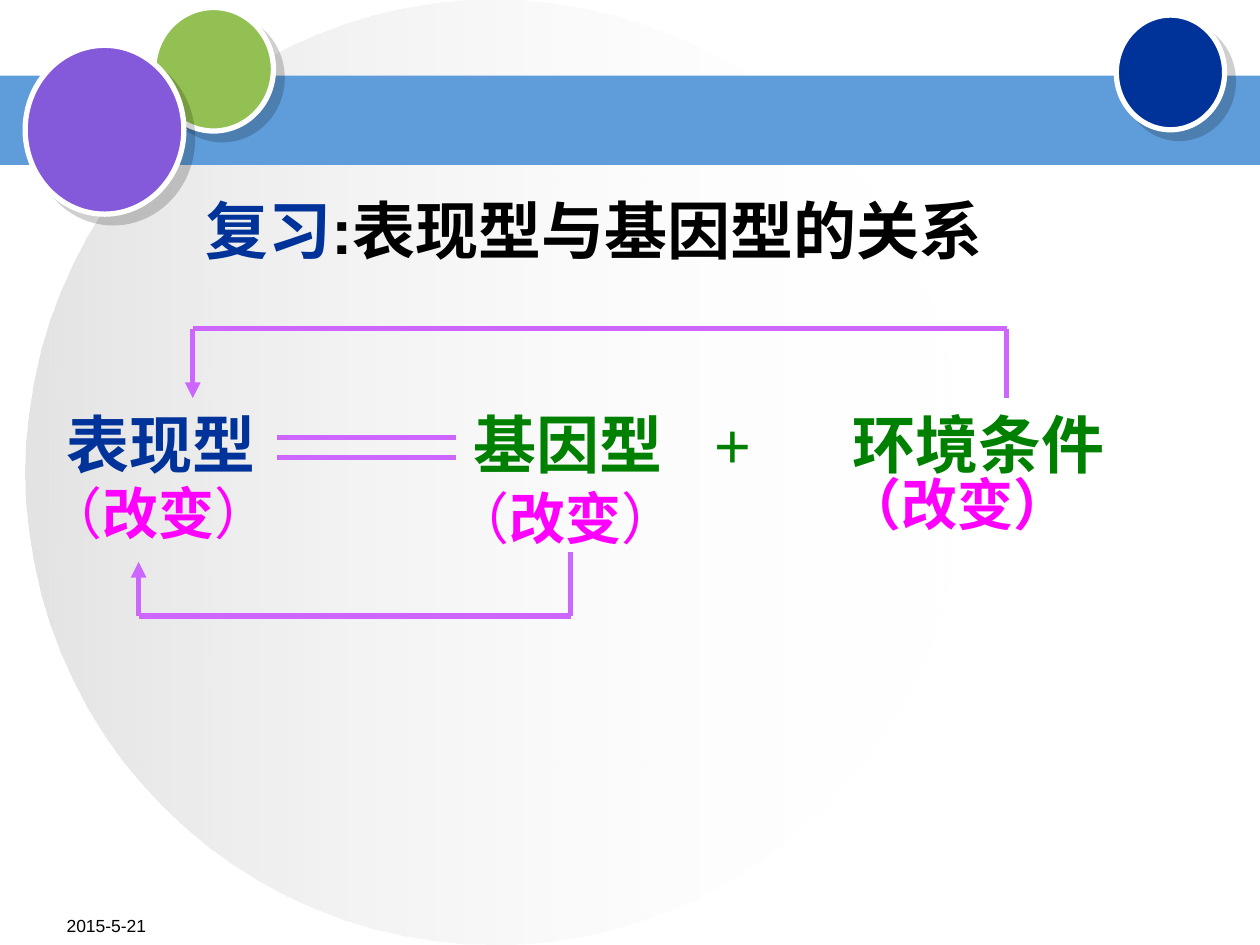
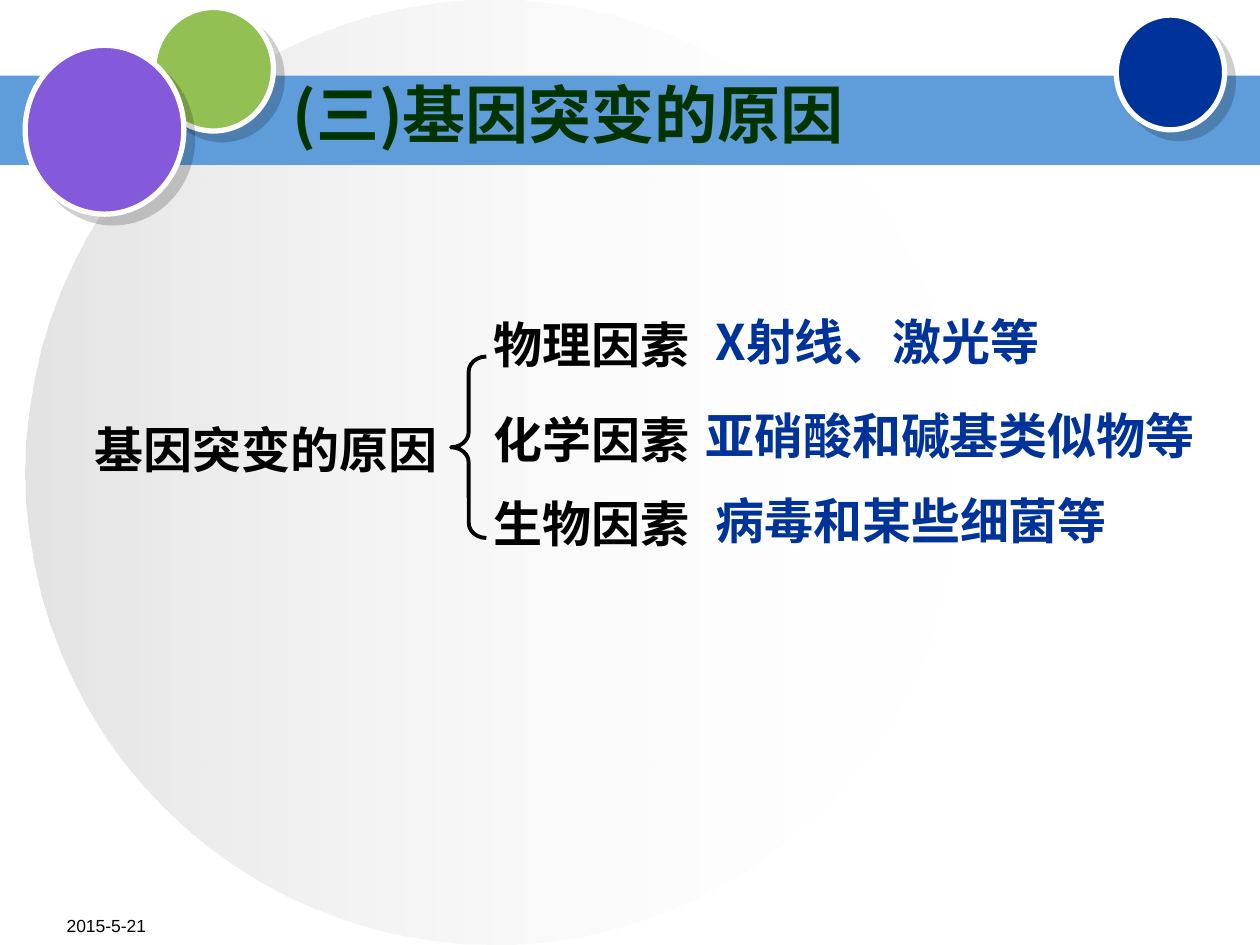
"""Builds two lesson slides on phenotype, genotype and the causes of gene mutation."""
from dataclasses import dataclass

from lxml.etree import SubElement
from pptx import Presentation
from pptx.dml.color import RGBColor
from pptx.enum.shapes import MSO_CONNECTOR, MSO_SHAPE
from pptx.enum.text import MSO_ANCHOR, MSO_AUTO_SIZE, PP_ALIGN
from pptx.oxml.ns import qn
from pptx.util import Inches, Pt


@dataclass(frozen=True)
class Theme:
    white: str = "FFFFFF"
    black: str = "000000"
    silver: str = "C0C0C0"
    band: str = "5E9CDA"
    lime: str = "93C052"
    navy: str = "003399"
    violet: str = "855ADA"
    arrow: str = "CC66FF"
    green: str = "008000"
    magenta: str = "FF00FF"
    heading: str = "003300"
    latin: str = "Arial"
    chinese: str = "Noto Sans CJK SC"
    title_size: int = 36
    change_size: int = 32
    factor_size: int = 28
    date_size: int = 10


theme = Theme()


def write_text(shape, place, runs, size, latin=theme.latin, inset=True):
    """Places a shape and fills its one paragraph with (text, colour, bold) runs."""
    shape.left, shape.top, shape.width, shape.height = map(Inches, place)
    frame = shape.text_frame
    frame.word_wrap = True
    frame.auto_size = MSO_AUTO_SIZE.NONE
    frame.vertical_anchor = MSO_ANCHOR.TOP
    frame.margin_left = frame.margin_right = Inches(0.1 if inset else 0)
    frame.margin_top = frame.margin_bottom = Inches(0.05 if inset else 0)
    paragraph = frame.paragraphs[0]
    paragraph.alignment = PP_ALIGN.LEFT
    paragraph.space_before = Pt(0)
    for text, color, bold in runs:
        run = paragraph.add_run()
        run.text = text
        run.font.name = latin
        run.font.size = Pt(size)
        run.font.bold = bold
        run.font.color.rgb = RGBColor.from_string(color)
        SubElement(run.font._element, qn("a:ea"), typeface=theme.chinese)
    return paragraph


def add_text(slide, place, runs, size, latin=theme.latin, inset=True):
    """Adds a text box and writes the runs into it."""
    box = slide.shapes.add_textbox(0, 0, 0, 0)
    return write_text(box, place, runs, size, latin, inset)


presentation = Presentation()
presentation.slide_width = Inches(10)
presentation.slide_height = Inches(7.5)
relation_slide = presentation.slides.add_slide(presentation.slide_layouts[1])
cause_slide = presentation.slides.add_slide(presentation.slide_layouts[5])

decorations = [
    (MSO_SHAPE.OVAL, (0.2, 0, 7.44, 7.5), None),
    (MSO_SHAPE.RECTANGLE, (0, 0.6, 10, 0.71), theme.band),
    (MSO_SHAPE.OVAL, (1.22, 0.06, 0.95, 0.98), theme.lime),
    (MSO_SHAPE.OVAL, (8.86, 0.12, 0.86, 0.91), theme.navy),
    (MSO_SHAPE.OVAL, (0.2, 0.36, 1.26, 1.34), theme.violet),
]
master_tree = presentation.slide_master.shapes.element
for index, (kind, place, color) in enumerate(decorations):
    shape = relation_slide.shapes.add_shape(kind, *map(Inches, place))
    shape.shadow.inherit = False
    shape.line.fill.background()
    if color is None:
        shape.fill.gradient()
        shape.fill.gradient_angle = 0
        for stop, stop_color in zip(shape.fill.gradient_stops, (theme.silver, theme.white)):
            stop.color.rgb = RGBColor.from_string(stop_color)
        for stop_element, alpha in zip(shape.element.iter(qn("a:srgbClr")), (44000, 0)):
            SubElement(stop_element, qn("a:alpha"), val=str(alpha))
    else:
        shape.fill.solid()
        shape.fill.fore_color.rgb = RGBColor.from_string(color)
        if kind == MSO_SHAPE.OVAL:
            shape.line.color.rgb = RGBColor.from_string(theme.white)
            shape.line.width = Pt(3)
            effects = shape.element.spPr.find(qn("a:effectLst"))
            shadow = SubElement(effects, qn("a:outerShdw"), blurRad="0",
                                dist=str(Pt(7.1)), dir="2700000", algn="ctr", rotWithShape="0")
            shadow_color = SubElement(shadow, qn("a:srgbClr"), val=theme.black)
            SubElement(shadow_color, qn("a:alpha"), val="19000")
    shape.element.nvSpPr.cNvPr.id = 20 + index
    master_tree.insert(2 + index, shape.element)

for slide in presentation.slides:
    add_text(slide, (0.43, 7.21, 2.08, 0.29), [("2015-5-21", theme.black, False)], theme.date_size)

write_text(relation_slide.shapes.title, (1.53, 1.47, 6.62, 0.7),
           [("复习", theme.navy, True), (":表现型与基因型的关系", theme.black, True)],
           theme.title_size)
phenotype = write_text(relation_slide.placeholders[1], (0.43, 3.17, 1.97, 0.66),
                       [("表现型", theme.navy, True)], theme.title_size)
properties = phenotype._p.get_or_add_pPr()
properties.set("marL", "0")
properties.set("indent", "0")
SubElement(properties, qn("a:buNone"))
add_text(relation_slide, (3.66, 3.17, 2.13, 0.7), [("基因型", theme.green, True)], theme.title_size)
environment = add_text(relation_slide, (5.16, 3.17, 3.9, 0.7),
                       [("\t+\t", theme.green, False), ("环境条件", theme.green, True)],
                       theme.title_size)
tab_list = SubElement(environment._p.get_or_add_pPr(), qn("a:tabLst"))
for position in (0.41, 1.51):
    SubElement(tab_list, qn("a:tab"), pos=str(Inches(position)), algn="l")

for place in ((3.5, 3.79, 2.09, 0.63), (0.27, 3.75, 2.28, 0.63)):
    add_text(relation_slide, place,
             [("（", theme.magenta, False), ("改变", theme.magenta, True), ("）", theme.magenta, False)],
             theme.change_size)
environment_change = add_text(relation_slide, (6.61, 3.78, 2.24, 0.53),
                              [("（改变）", theme.magenta, True)], theme.change_size)
environment_change.line_spacing = 0.8

relation_lines = [
    ((2.2, 3.47), (3.62, 3.47), False),
    ((2.2, 3.63), (3.62, 3.63), False),
    ((7.99, 2.61), (7.99, 3.16), False),
    ((1.53, 2.61), (7.99, 2.61), False),
    ((1.53, 2.61), (1.53, 3.16), True),
    ((4.53, 4.38), (4.53, 4.89), False),
    ((1.1, 4.89), (4.53, 4.89), False),
    ((1.1, 4.89), (1.1, 4.46), True),
]
for start, end, has_arrow in relation_lines:
    connector = relation_slide.shapes.add_connector(
        MSO_CONNECTOR.STRAIGHT, *map(Inches, start + end))
    connector.line.color.rgb = RGBColor.from_string(theme.arrow)
    connector.line.width = Pt(3)
    if has_arrow:
        SubElement(connector.line._get_or_add_ln(), qn("a:tailEnd"), type="triangle")
    SubElement(connector.element.spPr, qn("a:effectLst"))

write_text(cause_slide.shapes.title, (2.32, 0.6, 5.35, 0.6),
           [("(三)基因突变的原因", theme.heading, True)],
           theme.title_size, theme.chinese, inset=False)
add_text(cause_slide, (0.75, 3.33, 3, 0.47), [("基因突变的原因", theme.black, True)],
         theme.factor_size, theme.chinese, inset=False)
brace = cause_slide.shapes.add_shape(
    MSO_SHAPE.LEFT_BRACE, Inches(3.58), Inches(2.83), Inches(0.28), Inches(1.44))
brace.adjustments[0] = 0.431
brace.adjustments[1] = 0.5
brace.shadow.inherit = False
brace.fill.background()
brace.line.color.rgb = RGBColor.from_string(theme.black)
brace.line.width = Pt(2.25)

factors = [
    ("物理因素", 2.5, "X射线、激光等", 5.58),
    ("化学因素", 3.25, "亚硝酸和碱基类似物等", 5.5),
    ("生物因素", 3.92, "病毒和某些细菌等", 5.58),
]
for factor, top, examples, examples_left in factors:
    add_text(cause_slide, (3.92, top, 1.67, 0.47), [(factor, theme.black, True)],
             theme.factor_size, theme.chinese, inset=False)
    add_text(cause_slide, (examples_left, top - 0.08, 4.5, 0.57), [(examples, theme.navy, True)],
             theme.factor_size, theme.chinese)

presentation.save("out.pptx")
